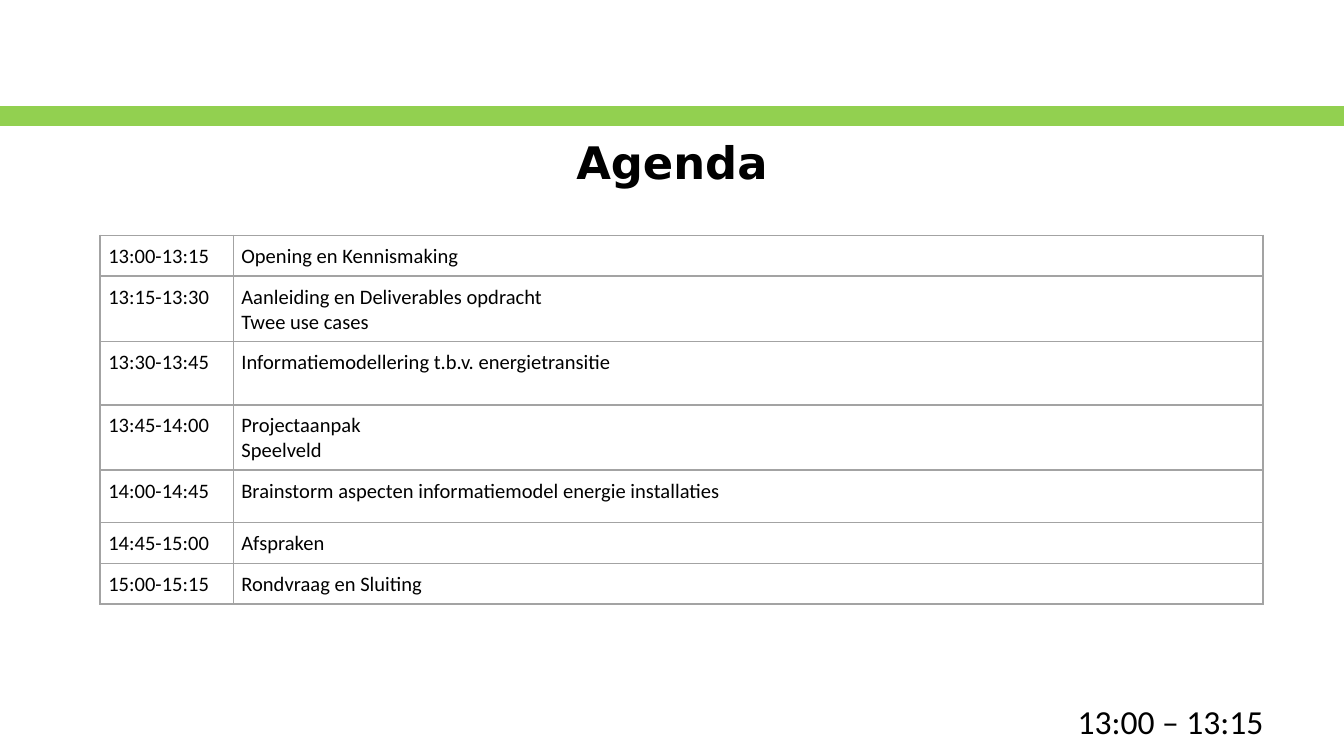
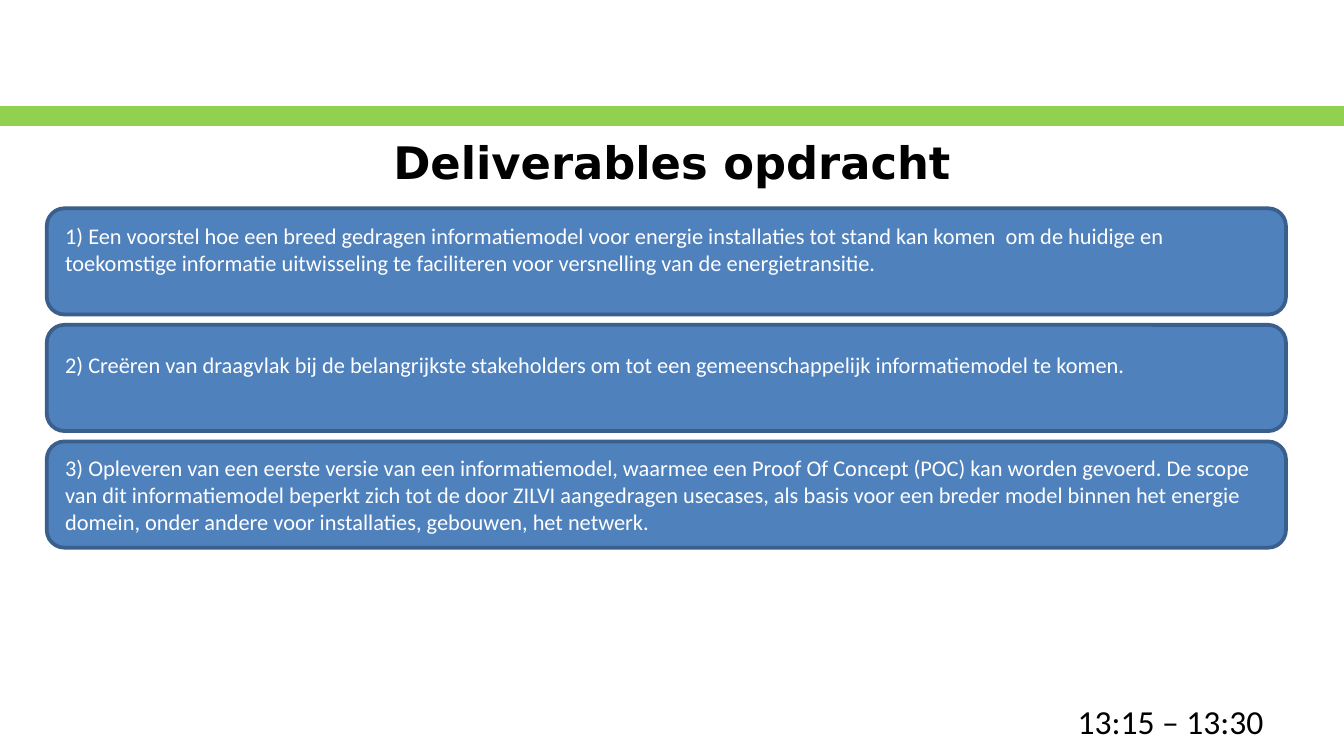
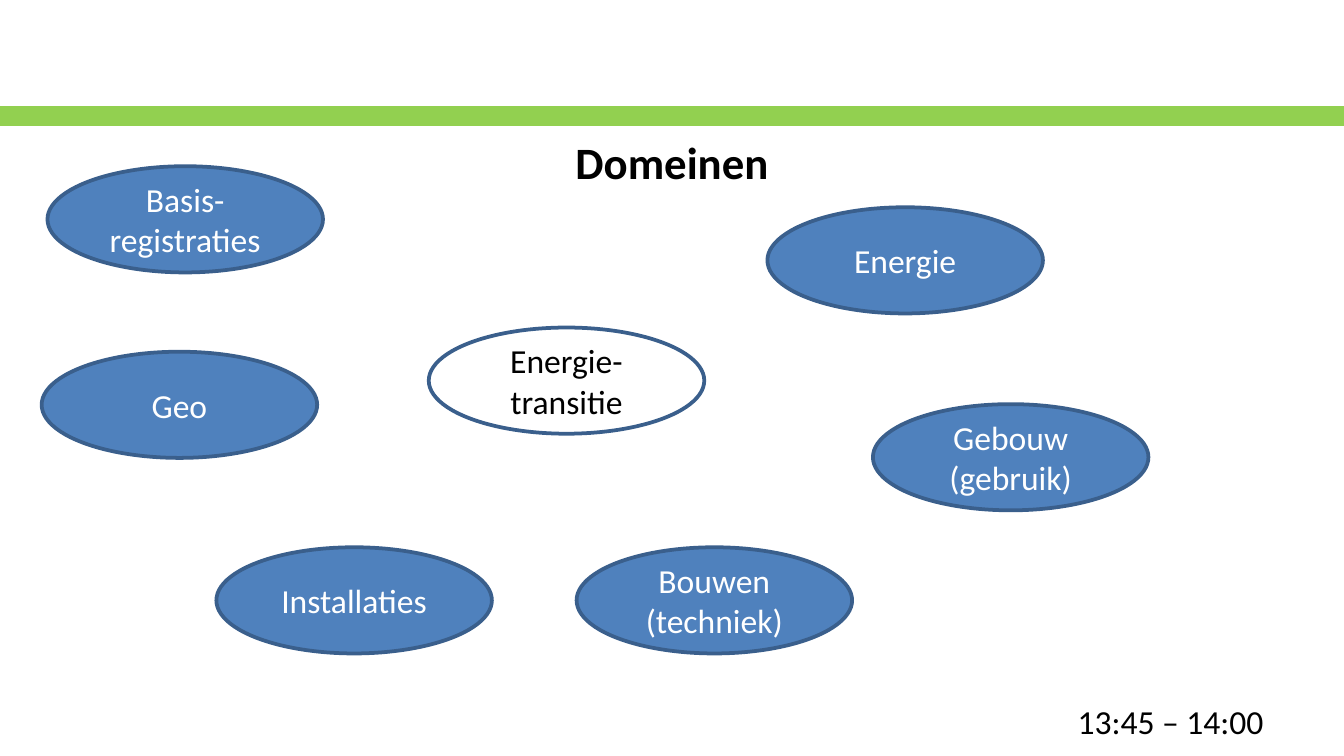
from pptx import Presentation
from pptx.dml.color import RGBColor
from pptx.enum.shapes import MSO_SHAPE
from pptx.enum.text import MSO_ANCHOR, MSO_AUTO_SIZE, PP_ALIGN
from pptx.oxml import parse_xml
from pptx.oxml.ns import nsdecls
from pptx.util import Inches, Pt

HUES = {
    "band": "92D050",
    "fill": "4F81BD",
    "edge": "3A5F8C",
    "grid": "A3A3A3",
    "ink": "000000",
    "paper": "FFFFFF",
}
UNIT = Inches(0.1)
WIDE, HIGH = 100, 56.25
FONT, HEAD = "Calibri", "DejaVu Sans"

BAND = (0, 8, WIDE, 1.23)
TITLE = (5, 9.3, 90, 5.4)
TIME = (79.2, 51.63, 16, 4)
PLAN = (7.46, 17.52, 86.5, 27)
STACK = (3.48, 15.5, 92.2, 25.25)
FIELD = (3.1, 12.37, 82.4, 36.2)
OVAL = (20.5, 7.9)

AGENDA = [
    (2.9, "13:00-13:15", ["Opening en Kennismaking"]),
    (4.7, "13:15-13:30", ["Aanleiding en Deliverables opdracht", "Twee use cases"]),
    (4.7, "13:30-13:45", ["Informatiemodellering t.b.v. energietransitie"]),
    (4.2, "13:45-14:00", ["Projectaanpak", "Speelveld"]),
    (3.9, "14:00-14:45", ["Brainstorm aspecten informatiemodel energie installaties"]),
    (2.9, "14:45-15:00", ["Afspraken"]),
    (2.9, "15:00-15:15", ["Rondvraag en Sluiting"]),
]
GOALS = [
    (2.3, "1) Een voorstel hoe een breed gedragen informatiemodel voor energie "
          "installaties tot stand kan komen  om de huidige en toekomstige informatie "
          "uitwisseling te faciliteren voor versnelling van de energietransitie."),
    (2.5, "2) Creëren van draagvlak bij de belangrijkste stakeholders om tot een "
          "gemeenschappelijk informatiemodel te komen."),
    (0.5, "3) Opleveren van een eerste versie van een informatiemodel, waarmee een "
          "Proof Of Concept (POC) kan worden gevoerd. De scope van dit informatiemodel "
          "beperkt zich tot de door ZILVI aangedragen usecases, als basis voor een "
          "breder model binnen het energie domein, onder andere voor installaties, "
          "gebouwen, het netwerk."),
]
REALMS = [
    (28.8, 12, ["Energie-transitie"], "paper", "ink"),
    (39.8, 28.35, ["Bouwen", "(techniek)"], "fill", "paper"),
    (61.85, 17.7, ["Gebouw (gebruik)"], "fill", "paper"),
    (13, 28.35, ["Installaties"], "fill", "paper"),
    (0, 13.8, ["Geo"], "fill", "paper"),
    (0.43, 0, ["Basis-registraties"], "fill", "paper"),
    (54, 3.05, ["Energie"], "fill", "paper"),
]


def size(n):
    return round(n * UNIT)


def place(box):
    return [size(n) for n in box]


def tint(name):
    return RGBColor.from_string(HUES[name])


def write(frame, lines, points, hue="ink", align=PP_ALIGN.LEFT, font=FONT, bold=False):
    for i, line in enumerate(lines):
        para = frame.paragraphs[0] if i == 0 else frame.add_paragraph()
        para.alignment = align
        run = para.add_run()
        run.text = line
        run.font.name = font
        run.font.size = Pt(points)
        run.font.bold = bold
        run.font.color.rgb = tint(hue)


def draw(slide, kind, box, fill, edge):
    shape = slide.shapes.add_shape(kind, *place(box))
    shape.shadow.inherit = False
    shape.fill.solid()
    shape.fill.fore_color.rgb = tint(fill)
    shape.line.color.rgb = tint(edge)
    shape.line.width = Pt(2)
    frame = shape.text_frame
    frame.word_wrap = True
    frame.vertical_anchor = MSO_ANCHOR.MIDDLE
    return shape


def start(deck, title, time, font=HEAD):
    slide = deck.slides.add_slide(deck.slide_layouts[6])
    draw(slide, MSO_SHAPE.RECTANGLE, BAND, "band", "band")
    head = slide.shapes.add_textbox(*place(TITLE)).text_frame
    head.word_wrap = True
    head.vertical_anchor = MSO_ANCHOR.MIDDLE
    write(head, [title], 24, align=PP_ALIGN.CENTER, font=font, bold=True)
    foot = slide.shapes.add_textbox(*place(TIME)).text_frame
    foot.word_wrap = False
    foot.auto_size = MSO_AUTO_SIZE.SHAPE_TO_FIT_TEXT
    write(foot, [time], 18)
    return slide


def frame_cell(cell):
    cell.fill.background()
    cell.margin_left = cell.margin_right = size(0.6)
    cell.margin_top = cell.margin_bottom = size(0.6)
    props = cell._tc.get_or_add_tcPr()
    for i, side in enumerate("LRTB"):
        props.insert(i, parse_xml(
            f'<a:ln{side} {nsdecls("a")} w="{Pt(1)}"><a:solidFill>'
            f'<a:srgbClr val="{HUES["grid"]}"/></a:solidFill></a:ln{side}>'))


def add_plan(slide, box):
    table = slide.shapes.add_table(len(AGENDA), 2, *place(box)).table
    table.first_row = table.horz_banding = False
    first = 9.9
    table.columns[0].width = size(first)
    table.columns[1].width = size(box[2] - first)
    for i, (tall, time, lines) in enumerate(AGENDA):
        table.rows[i].height = size(tall)
        for j, text in enumerate([[time], lines]):
            cell = table.cell(i, j)
            frame_cell(cell)
            write(cell.text_frame, text, 11)


def add_goals(slide, box):
    left, top, wide, high = box
    tall = 7.9
    step = (high - tall) / (len(GOALS) - 1)
    for i, (base, text) in enumerate(GOALS):
        spot = (left, top + i * step, wide, tall)
        card = draw(slide, MSO_SHAPE.ROUNDED_RECTANGLE, spot, "fill", "edge")
        card.text_frame.margin_bottom = size(base)
        write(card.text_frame, [text], 12, "paper")


def add_realms(slide, box):
    left, top = box[:2]
    for x, y, lines, fill, hue in REALMS:
        oval = draw(slide, MSO_SHAPE.OVAL, (left + x, top + y, *OVAL), fill, "edge")
        write(oval.text_frame, lines, 18, hue, PP_ALIGN.CENTER)


def main():
    deck = Presentation()
    deck.slide_width, deck.slide_height = place((WIDE, HIGH))
    add_plan(start(deck, "Agenda", "13:00 – 13:15"), PLAN)
    add_goals(start(deck, "Deliverables opdracht", "13:15 – 13:30"), STACK)
    add_realms(start(deck, "Domeinen", "13:45 – 14:00", FONT), FIELD)
    deck.save("out.pptx")


if __name__ == "__main__":
    main()
